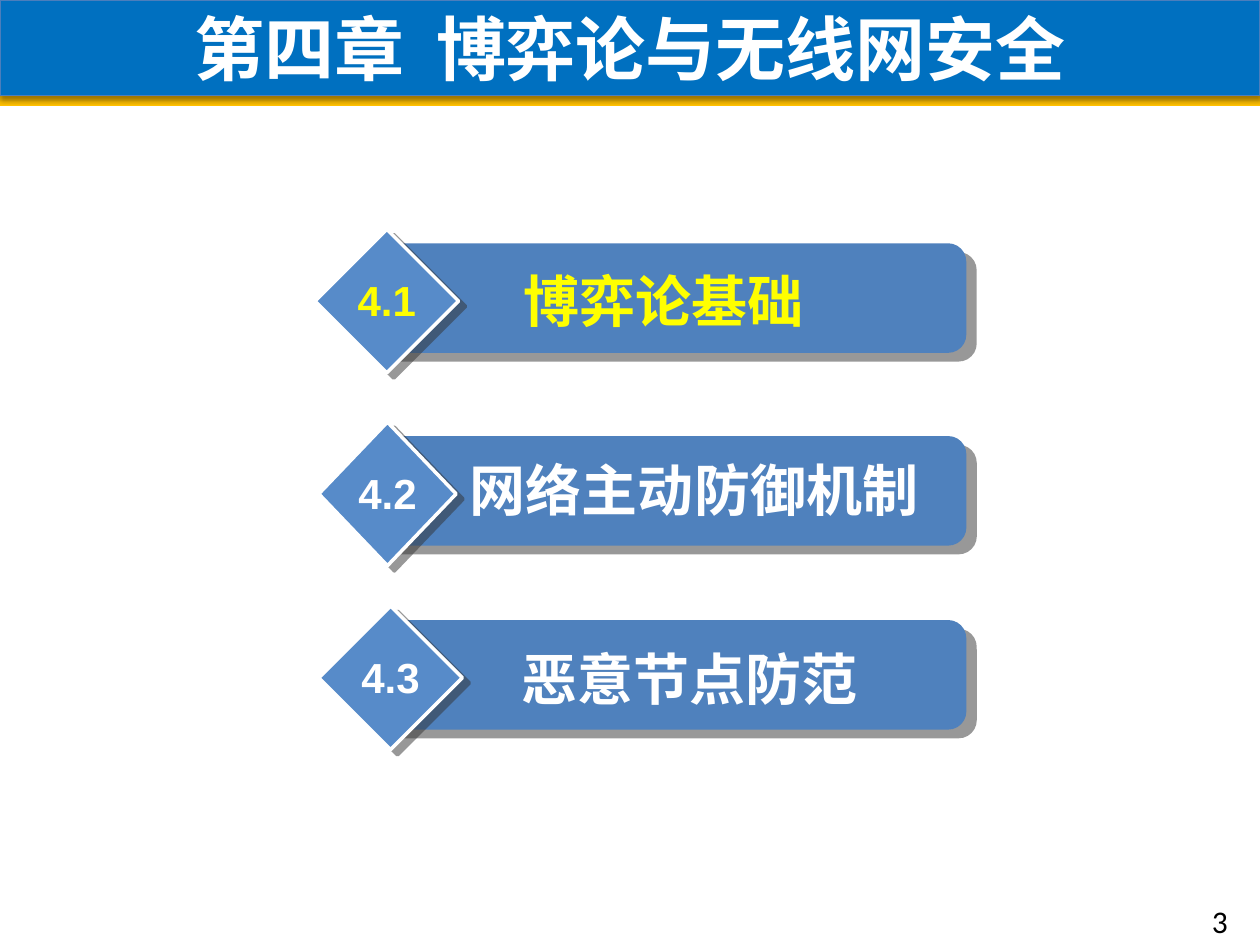
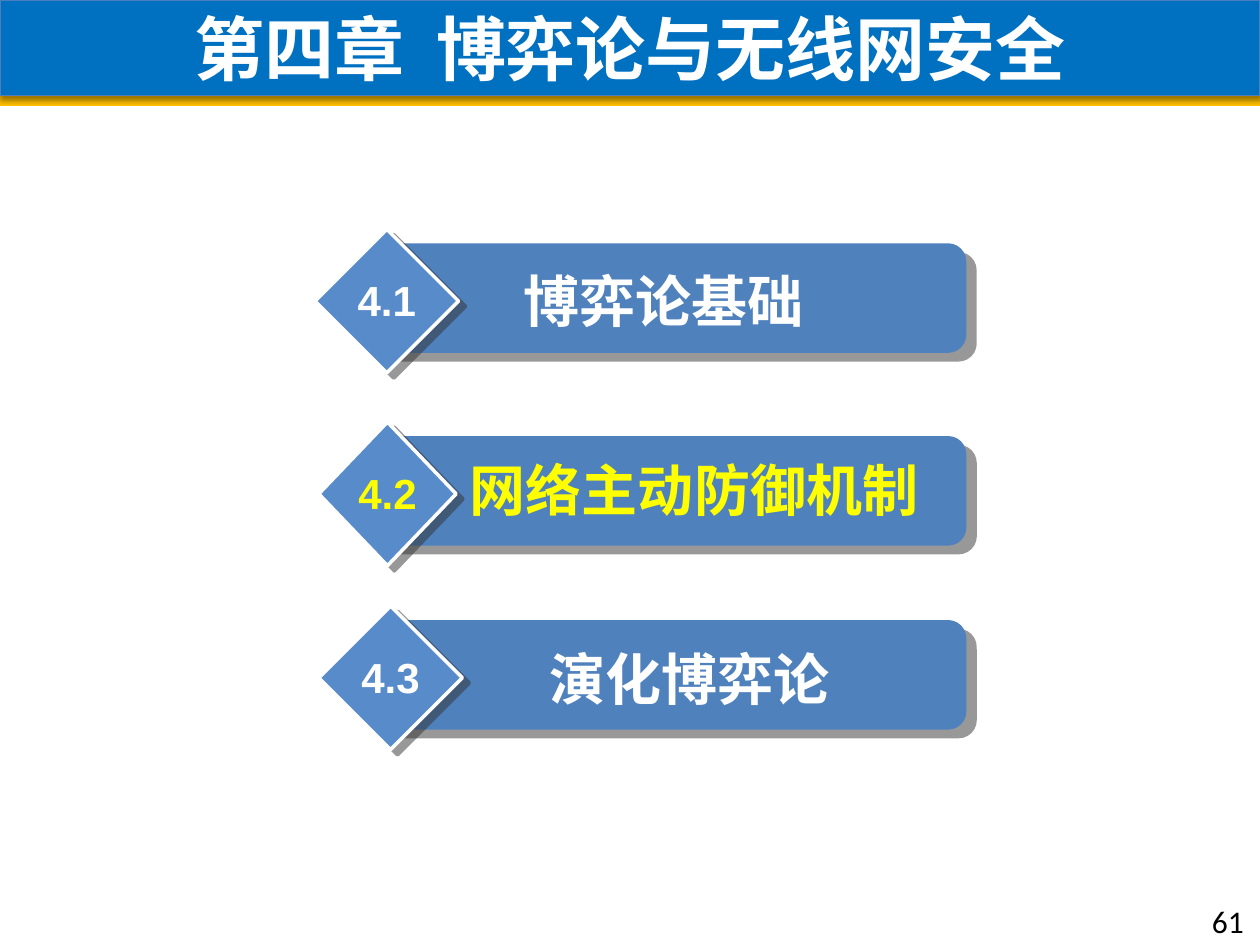
import pptx
import pptx.dml.color
import pptx.enum.shapes
import pptx.enum.text
import pptx.oxml.ns
import pptx.util
from lxml import etree

Pt = pptx.util.Pt
qn = pptx.oxml.ns.qn
SHAPES = pptx.enum.shapes.MSO_SHAPE
ALIGN = pptx.enum.text.PP_ALIGN
ANCHOR = pptx.enum.text.MSO_ANCHOR
AUTO_SIZE = pptx.enum.text.MSO_AUTO_SIZE

WIDTH, HEIGHT = 720, 540
BLUE, GOLD, BAND_EDGE = "0070C0", "FFC000", "4B7EBC"
BAR_BLUE, DIAMOND_BLUE = "4F81BD", "578BC9"
WHITE, YELLOW, BLACK = "FFFFFF", "FFFF00", "000000"
CJK_FONT = "Noto Sans CJK SC"

TITLE_FORMAT = {"name": CJK_FONT, "size": Pt(40), "bold": True}
LABEL_FORMAT = {"name": "Arial", "size": Pt(32), "bold": True}
NUMBER_FORMAT = {"name": "Arial", "size": Pt(24), "bold": True}
PAGE_FORMAT = {"name": "Calibri", "size": Pt(18), "bold": False}

BAND_SHADOW = {"color": "000000", "alpha": 38, "blur": 3.1, "distance": 1.6, "angle": 90}
BAR_SHADOW = {"color": "333333", "alpha": 50, "blur": 0, "distance": 7.8, "angle": 40}
DIAMOND_SHADOW = {"color": "333333", "alpha": 50, "blur": 0, "distance": 5, "angle": 37}

TITLE = "第四章  博弈论与无线网安全"
AGENDA_RIGHT = 552.24
ROWS = [
    {"left": 180, "top": 131.04, "diamond": 82.08, "label": (64.08, 18, 270)},
    {"left": 182.16, "top": 241.2, "diamond": 78.48, "label": (76.32, 15.84, 276.48)},
    {"left": 182.16, "top": 346.32, "diamond": 82.08, "label": (64.8, 18.72, 294.48)},
]
SLIDES = [
    {"topics": ["博弈论基础", "网络主动防御机制", "恶意节点防范"], "current": 0, "page": "3"},
    {"topics": ["博弈论基础", "网络主动防御机制", "演化博弈论"], "current": 1, "page": "61"},
]


def rgb(color):
    """Turn a hex string into a colour."""
    return pptx.dml.color.RGBColor.from_string(color)


def add_shadow(shape, shadow):
    """Give a shape an outer shadow."""
    effects = shape._element.spPr.find(qn("a:effectLst"))
    outer = etree.SubElement(effects, qn("a:outerShdw"), {
        "blurRad": str(Pt(shadow["blur"])),
        "dist": str(Pt(shadow["distance"])),
        "dir": str(shadow["angle"] * 60000),
        "algn": "ctr",
        "rotWithShape": "0",
    })
    color = etree.SubElement(outer, qn("a:srgbClr"), val=shadow["color"])
    etree.SubElement(color, qn("a:alpha"), val=str(shadow["alpha"] * 1000))


def add_filled(shapes, kind, box, fill, line=None, shadow=None):
    """Add a preset shape with a plain fill."""
    shape = shapes.add_shape(kind, *map(Pt, box))
    shape.fill.solid()
    shape.fill.fore_color.rgb = rgb(fill)
    if line:
        color, width = line
        shape.line.color.rgb = rgb(color)
        shape.line.width = Pt(width)
    else:
        shape.line.fill.background()
    shape.shadow.inherit = False
    if shadow:
        add_shadow(shape, shadow)
    return shape


def write(shape, text, font_format, color, align, **frame_format):
    """Write one formatted paragraph into a shape."""
    frame = shape.text_frame
    for name, value in frame_format.items():
        setattr(frame, name, value)
    paragraph = frame.paragraphs[0]
    paragraph.alignment = align
    run = paragraph.add_run()
    run.text = text
    for name, value in font_format.items():
        setattr(run.font, name, value)
    run.font.color.rgb = rgb(color)
    etree.SubElement(run._r.get_or_add_rPr(), qn("a:ea"), typeface=CJK_FONT)


def add_header(slide, box):
    """Add the title band and the gold strip below it."""
    left, top, width, height = box
    strip = 6
    band_height = height - strip
    add_filled(slide.shapes, SHAPES.RECTANGLE,
               (left, top + band_height, width, strip), GOLD)
    band = add_filled(slide.shapes, SHAPES.RECTANGLE, (left, top, width, band_height),
                      BLUE, (BAND_EDGE, 0.75), BAND_SHADOW)
    write(band, TITLE, TITLE_FORMAT, WHITE, ALIGN.CENTER,
          word_wrap=True, vertical_anchor=ANCHOR.MIDDLE)


def add_agenda_row(slide, row, number, topic, color):
    """Add one grouped agenda entry: bar, diamond, topic and number."""
    shapes = slide.shapes.add_group_shape().shapes
    left, top, diamond = row["left"], row["top"], row["diamond"]
    bar_left = left + 0.37 * diamond
    add_filled(shapes, SHAPES.ROUNDED_RECTANGLE,
               (bar_left, top + 8, AGENDA_RIGHT - bar_left, 62.64),
               BAR_BLUE, shadow=BAR_SHADOW)
    add_filled(shapes, SHAPES.DIAMOND, (left, top, diamond, 82.08),
               DIAMOND_BLUE, (WHITE, 2), DIAMOND_SHADOW)
    label_left, label_top, label_width = row["label"]
    label = shapes.add_textbox(Pt(left + label_left), Pt(top + label_top),
                               Pt(label_width), Pt(46.08))
    write(label, topic, LABEL_FORMAT, color, ALIGN.CENTER,
          word_wrap=True, auto_size=AUTO_SIZE.SHAPE_TO_FIT_TEXT)
    number_width = 48.24
    number_box = shapes.add_textbox(Pt(left + (diamond - number_width) / 2),
                                    Pt(top + 22.4), Pt(number_width), Pt(36))
    write(number_box, number, NUMBER_FORMAT, color, ALIGN.CENTER,
          word_wrap=False, auto_size=AUTO_SIZE.SHAPE_TO_FIT_TEXT)


def add_page_number(slide, box, page):
    """Add the page number."""
    shape = slide.shapes.add_textbox(*map(Pt, box))
    write(shape, page, PAGE_FORMAT, BLACK, ALIGN.LEFT, word_wrap=True)


def add_agenda_slide(presentation, topics, current, page):
    """Add an agenda slide with the current topic highlighted."""
    slide = presentation.slides.add_slide(presentation.slide_layouts[6])
    add_header(slide, (0, 0, WIDTH, 60.5))
    for index, (row, topic) in enumerate(zip(ROWS, topics)):
        color = YELLOW if index == current else WHITE
        add_agenda_row(slide, row, f"4.{index + 1}", topic, color)
    add_page_number(slide, (685.44, 511.92, 33.84, 28.08), page)


def main():
    """Build and save the presentation."""
    presentation = pptx.Presentation()
    presentation.slide_width = Pt(WIDTH)
    presentation.slide_height = Pt(HEIGHT)
    for content in SLIDES:
        add_agenda_slide(presentation, **content)
    presentation.save("out.pptx")


if __name__ == "__main__":
    main()
